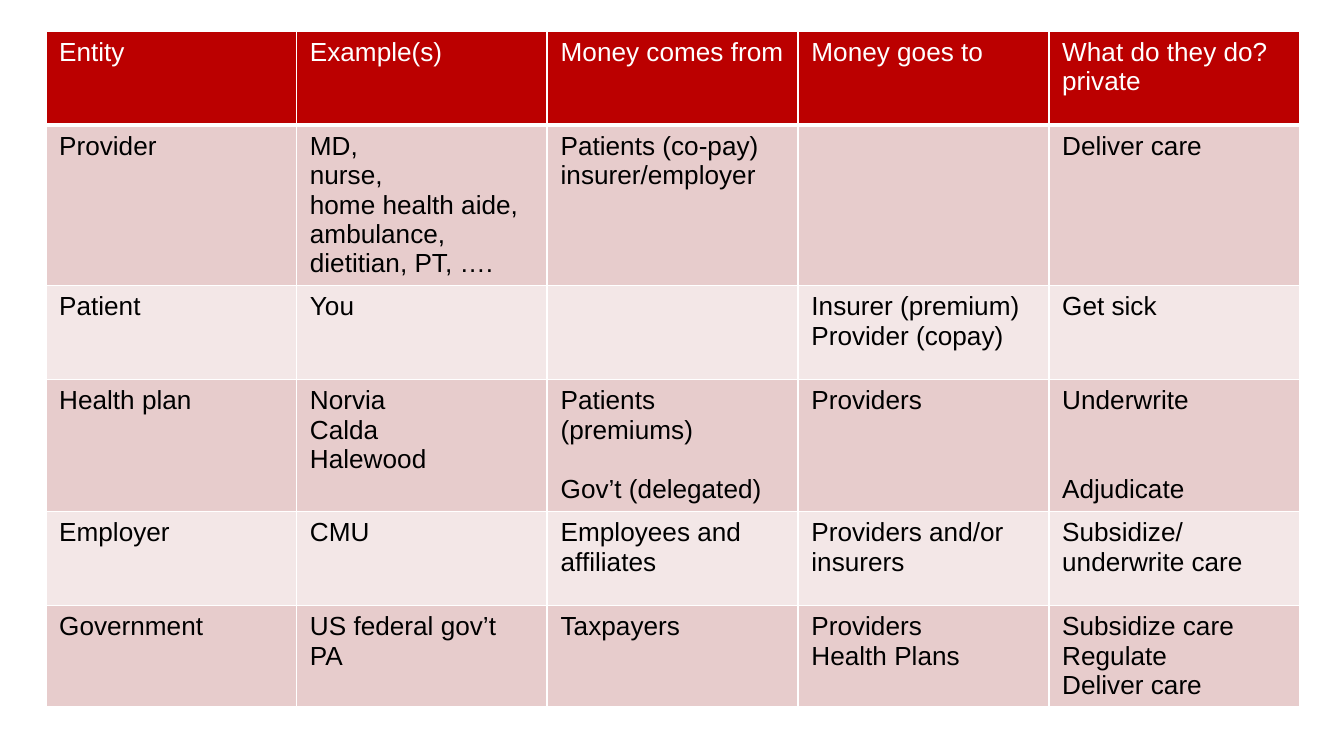
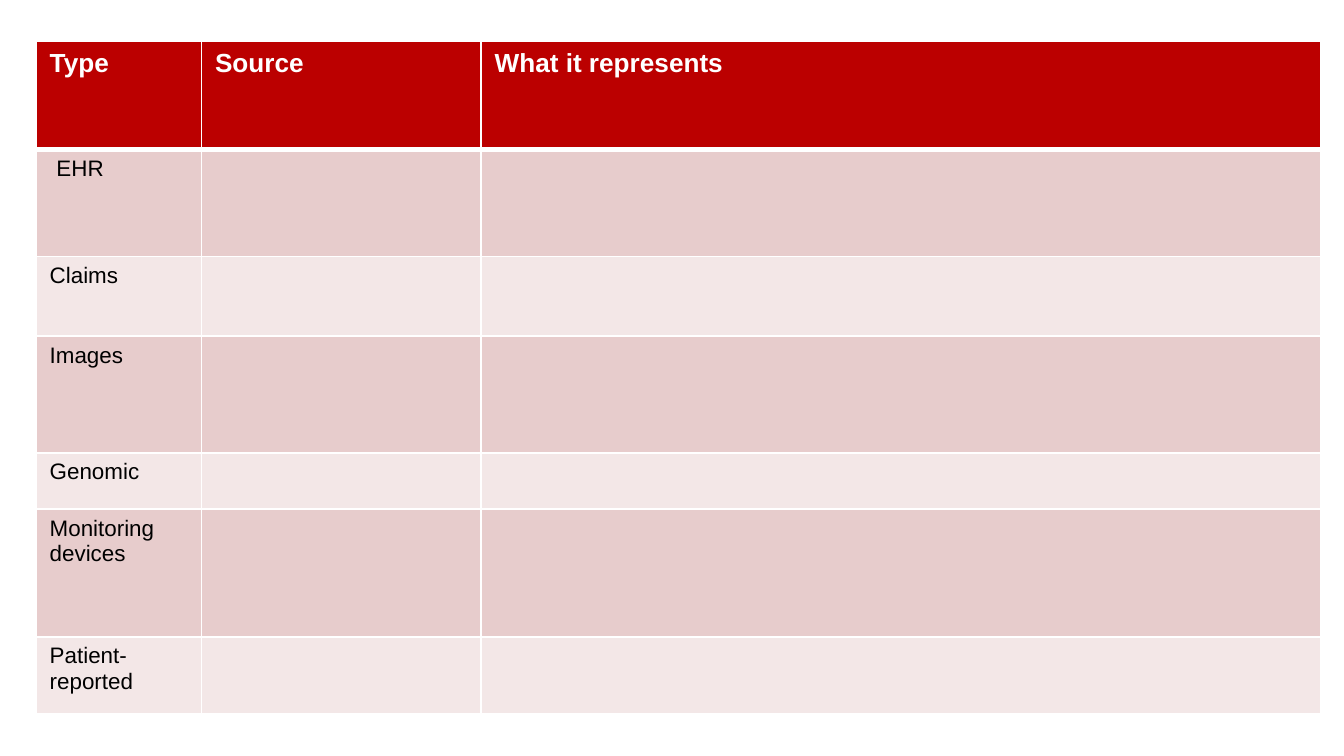
from dataclasses import dataclass

from lxml import etree
from pptx import Presentation
from pptx import util as u
from pptx.dml import color
from pptx.oxml import ns


@dataclass(frozen=True)
class Theme:
    """Colours, font and type sizes shared by both tables."""
    font: str = "Arial"
    header_fill: str = "BB0000"
    bands: tuple = ("E7CCCC", "F3E7E7")
    header_text: str = "FFFFFF"
    body_text: str = "000000"
    rule: str = "FFFFFF"
    header_size: int = 14
    thin: int = 1
    thick: int = 3


THEME = Theme()

ENTITIES = [
    ["Entity", "Example(s)", "Money comes from", "Money goes to",
     "What do they do? private"],
    ["Provider", "MD,\nnurse,\nhome health aide, ambulance, dietitian, PT, ….",
     "Patients (co-pay)\ninsurer/employer", "", "Deliver care"],
    ["Patient", "You", "", "Insurer (premium)\nProvider (copay)", "Get sick"],
    ["Health plan", "Norvia\nCalda\nHalewood",
     [("Patients (premiums)", 0), ("Gov’t (delegated)", 16)],
     "Providers", [("Underwrite", 0), ("Adjudicate", 32)]],
    ["Employer", "CMU", "Employees and affiliates",
     "Providers and/or insurers", "Subsidize/\nunderwrite care"],
    ["Government", "US federal gov’t\nPA", "Taxpayers",
     "Providers\nHealth Plans", "Subsidize care\nRegulate\nDeliver care"],
]

DATA_TYPES = ["EHR", "Claims", "Images", "Genomic", "Monitoring devices",
              "Patient-reported"]


def add_borders(cell, top, bottom):
    """Rule all four sides of a cell, with the given top and bottom weights."""
    props = cell._tc.get_or_add_tcPr()
    weights = {"L": THEME.thin, "R": THEME.thin, "T": top, "B": bottom}
    for side, weight in weights.items():
        line = etree.SubElement(props, ns.qn(f"a:ln{side}"), w=str(u.Pt(weight)))
        fill = etree.SubElement(line, ns.qn("a:solidFill"))
        etree.SubElement(fill, ns.qn("a:srgbClr"), val=THEME.rule)


def write_cell(cell, content, size, ink, bold):
    """Write a string, or (text, space before) paragraphs, into a cell."""
    paragraphs = [(content, 0)] if isinstance(content, str) else content
    frame = cell.text_frame
    for index, (words, gap) in enumerate(paragraphs):
        para = frame.add_paragraph() if index else frame.paragraphs[0]
        if gap:
            para.space_before = u.Pt(gap)
        if not words:
            continue
        for number, line in enumerate(words.split("\n")):
            if number:
                para.add_line_break()
            span = para.add_run()
            span.text = line
            span.font.name = THEME.font
            span.font.size = u.Pt(size)
            span.font.bold = bold
            span.font.color.rgb = color.RGBColor.from_string(ink)


def add_banded_table(page, rows, left, top, widths, heights, body_size,
                     bold_header):
    """Add a table with a red header row and alternating pink body rows."""
    frame = page.shapes.add_table(
        len(rows), len(widths), u.Inches(left), u.Inches(top),
        u.Inches(sum(widths)), u.Inches(sum(heights)))
    table = frame.table
    for column, width in zip(table.columns, widths):
        column.width = u.Inches(width)
    for row, height in zip(table.rows, heights):
        row.height = u.Inches(height)
    for r, row in enumerate(rows):
        header = r == 0
        fill = THEME.header_fill if header else THEME.bands[(r - 1) % 2]
        ink = THEME.header_text if header else THEME.body_text
        size = THEME.header_size if header else body_size
        for c, content in enumerate(row):
            cell = table.cell(r, c)
            add_borders(cell, THEME.thick if r == 1 else THEME.thin,
                        THEME.thick if header else THEME.thin)
            cell.fill.solid()
            cell.fill.fore_color.rgb = color.RGBColor.from_string(fill)
            write_cell(cell, content, size, ink, header and bold_header)
    return table


def add_entities_page(deck):
    """Add the table of who pays whom in health care."""
    page = deck.slides.add_slide(deck.slide_layouts[6])
    columns = len(ENTITIES[0])
    add_banded_table(page, ENTITIES, 0.34, 0.23, [9.33 / columns] * columns,
                     [0.7] * len(ENTITIES), body_size=14, bold_header=False)


def add_data_types_page(deck):
    """Add the worksheet table of health data types."""
    page = deck.slides.add_slide(deck.slide_layouts[6])
    rows = [["Type", "Source", "What it represents"]]
    rows += [[name, "", ""] for name in DATA_TYPES]
    table = add_banded_table(page, rows, 0.27, 0.31, [1.23, 2.08, 6.25],
                             [0.8, 0.8, 0.59, 0.87, 0.42, 0.95, 0.57],
                             body_size=12, bold_header=True)
    table.cell(1, 0).margin_left = u.Inches(0.15)


def main():
    """Build and save the deck."""
    deck = Presentation()
    deck.slide_width = u.Inches(10)
    deck.slide_height = deck.slide_width * 9 // 16
    add_entities_page(deck)
    add_data_types_page(deck)
    deck.save("out.pptx")


if __name__ == "__main__":
    main()
